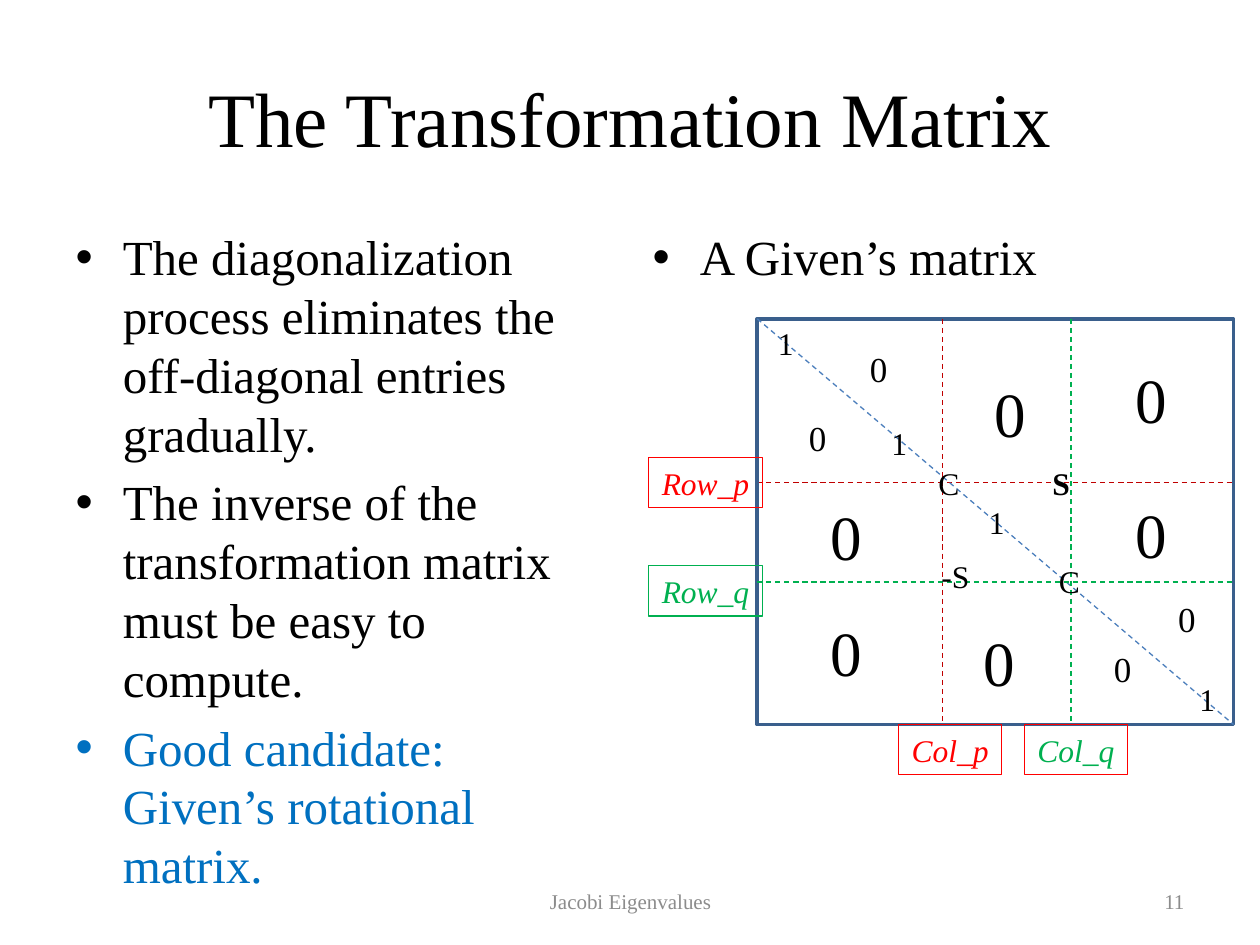
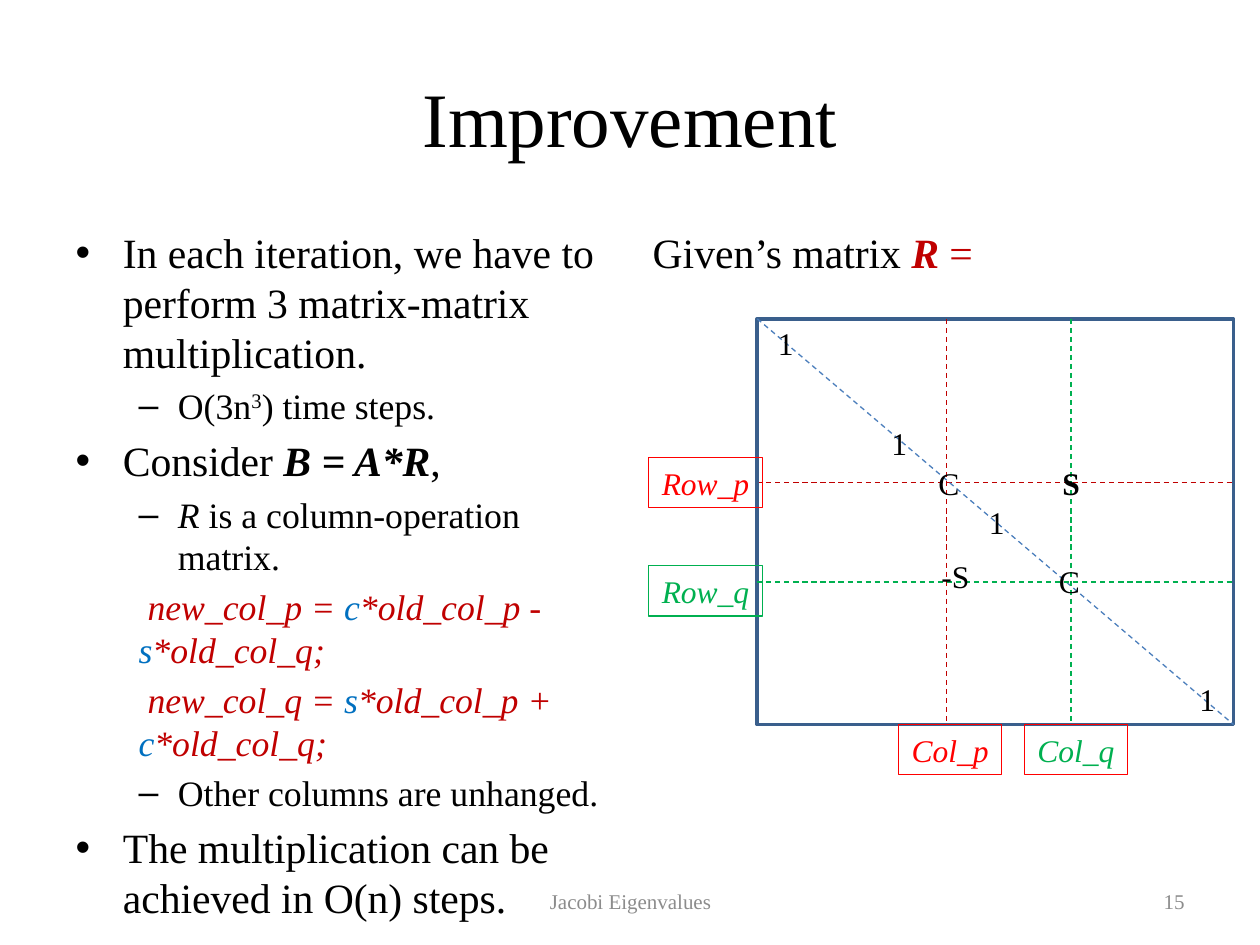
from lxml.etree import SubElement
from pptx import Presentation
from pptx.dml.color import RGBColor
from pptx.enum.dml import MSO_LINE
from pptx.enum.shapes import MSO_CONNECTOR, MSO_SHAPE
from pptx.enum.text import MSO_ANCHOR, MSO_AUTO_SIZE, PP_ALIGN
from pptx.oxml.ns import qn
from pptx.util import Inches, Pt

W, H = 10, 7.5
FACE = "Times New Roman"
HUES = {"ink": "000000", "blue": "0070C0", "deep": "C00000", "red": "FF0000",
        "green": "00B050", "frame": "3A5F8C", "diag": "4B7EBC", "gray": "8C8C8C"}

TITLE = (0.05 * W, 0.04 * H, 0.9 * W, 1.25)
LEFT = (0.05 * W, 1.75, 4.42, 0.66 * H)
WIDE = (0.05 * W, 1.75, 4.59, 0.66 * H)
RIGHT = (5.08, 1.75, 4.42, 0.66 * H)
MATRIX = (6.01, 2.53, 3.78, 3.22)
FOOT = (3.42, 6.95, 3.17, 0.4)
PAGE = (7.17, 6.95, 2.33, 0.4)

# Matrix entries: text, size, then centre in percent of the matrix box
ROTATION = [("1", 18, 6, 5.9), ("1", 18, 29.8, 30.7), ("1", 18, 50.3, 50),
            ("1", 18, 94.5, 93.8), ("C", 18, 39.9, 40.4), ("C", 18, 65.2, 64.6),
            ("-S", 18, 41.6, 63.4)]
ZEROS = [("0", 36, x, y) for x, y in
         [(82.7, 52.8), (18.6, 53.4), (82.7, 19.7), (18.6, 82), (53.2, 23.1), (50.9, 84.4)]]
ZEROS += [("0", 20, x, y) for x, y in
          [(25.5, 12.2), (90.2, 73.9), (76.7, 86.3), (12.7, 29.3)]]


def hue(name):
    return RGBColor.from_string(HUES[name])


def inches(box):
    return [Inches(v) for v in box]


def dress(font, size, color="ink", bold=None, italic=None):
    font.name, font.size, font.bold, font.italic = FACE, Pt(size), bold, italic
    font.color.rgb = hue(color)


def label(shapes, box, text, size, color="ink", align=PP_ALIGN.CENTER,
          bold=None, italic=None, edge=None):
    """One line of text, framed when an edge colour is given."""
    if edge:
        shape = shapes.add_shape(MSO_SHAPE.RECTANGLE, *inches(box))
        shape.shadow.inherit = False
        shape.fill.background()
        shape.line.color.rgb, shape.line.width = hue(edge), Pt(0.75)
    else:
        shape = shapes.add_textbox(*inches(box))
    frame = shape.text_frame
    frame.word_wrap, frame.vertical_anchor = False, MSO_ANCHOR.MIDDLE
    para = frame.paragraphs[0]
    para.text, para.alignment = text, align
    dress(para.font, size, color, bold, italic)


def dash(shapes, x1, y1, x2, y2, color):
    line = shapes.add_connector(MSO_CONNECTOR.STRAIGHT, *inches((x1, y1, x2, y2)))
    line.line.color.rgb, line.line.width = hue(color), Pt(0.75)
    line.line.dash_style = MSO_LINE.DASH
    SubElement(line._element.spPr, qn("a:effectLst"))


def matrix(shapes, box, marks, col_p, s_at):
    """Rotation matrix with its p and q lines; col_p and s_at are percents."""
    left, top, wide, high = box

    def at(x, y):
        return left + wide * x / 100, top + high * y / 100

    right, base = at(100, 100)
    dash(shapes, left, at(0, 40.4)[1], right, at(0, 40.4)[1], "deep")
    frame = shapes.add_shape(MSO_SHAPE.RECTANGLE, *inches(box))
    frame.shadow.inherit = False
    frame.fill.background()
    frame.line.color.rgb, frame.line.width = hue("frame"), Pt(2)
    dash(shapes, left, top, right, base, "diag")
    for x, color in (col_p, "deep"), (65.9, "green"):
        dash(shapes, at(x, 0)[0], top, at(x, 0)[0], base, color)
    dash(shapes, left, at(0, 64.9)[1], right, at(0, 64.9)[1], "green")

    for text, size, x, y in marks + [("S", 18, s_at, 40.4)]:
        w, h = 0.2 + len(text) * size / 130, 0.1 + size / 60
        mid, row = at(x, y)
        label(shapes, (mid - w / 2, row - h / 2, w, h), text, size, bold=text == "S")
    for text, y, color in ("Row_p", 40.4, "red"), ("Row_q", 67.1, "green"):
        label(shapes, (left - 0.86, at(0, y)[1] - 0.2, 0.9, 0.4), text, 18, color,
              italic=True, edge=color)
    for text, x, color in ("Col_p", 40.5, "red"), ("Col_q", 66.9, "green"):
        label(shapes, (at(x, 0)[0] - 0.41, base, 0.82, 0.4), text, 18, color,
              italic=True, edge="red")


def place(holder, box):
    holder.left, holder.top, holder.width, holder.height = inches(box)
    holder.text_frame.auto_size = MSO_AUTO_SIZE.NONE
    return holder.text_frame


def fill(holder, box, items):
    """Items are (level, size, margin, runs); a margin removes the bullet."""
    frame = place(holder, box)
    for n, (level, size, margin, runs) in enumerate(items):
        para = frame.add_paragraph() if n else frame.paragraphs[0]
        para.level = level
        dress(para.font, size)
        if margin is not None:
            props = para._p.get_or_add_pPr()
            props.set("marL", str(Inches(margin)))
            props.set("indent", "0")
            props.insert(0, props.makeelement(qn("a:buNone"), {}))
        for text, color, marks in runs:
            run = para.add_run()
            run.text = text
            if color != "ink":
                run.font.color.rgb = hue(color)
            if "b" in marks:
                run.font.bold = True
            if "i" in marks:
                run.font.italic = True
            if "^" in marks:
                run.font._element.set("baseline", "30000")


def plain(text, color="ink", marks=""):
    return [(text, color, marks)]


def page(deck, title, number, box, left, right):
    slide = deck.slides.add_slide(deck.slide_layouts[3])
    head, body, side = slide.placeholders
    frame = place(head, TITLE)
    frame.text, frame.vertical_anchor = title, MSO_ANCHOR.MIDDLE
    dress(frame.paragraphs[0].font, 44)
    fill(body, box, left)
    fill(side, RIGHT, right)
    label(slide.shapes, FOOT, "Jacobi Eigenvalues", 12, "gray")
    label(slide.shapes, PAGE, number, 12, "gray", PP_ALIGN.RIGHT)
    return slide.shapes


def update(name, first, sign, second):
    """Column update formula with its two factors in blue."""
    return plain(" ") + [(f"{name} = ", "deep", "i"), (first, "blue", "i"),
                         (f"*old_col_p {sign} ", "deep", "i"), (second, "blue", "i"),
                         ("*old_col_q;", "deep", "i")]


def transform(deck):
    left = [(0, 28, None, plain(text, color)) for text, color in [
        ("The diagonalization process eliminates the off-diagonal entries gradually.", "ink"),
        ("The inverse of the transformation matrix must be easy to compute.", "ink"),
        ("Good candidate: Given’s rotational matrix.", "blue")]]
    right = [(0, 28, None, plain("A Given’s matrix"))]
    shapes = page(deck, "The Transformation Matrix", "11", LEFT, left, right)
    matrix(shapes, MATRIX, ROTATION + ZEROS, 38.9, 63.8)


def improve(deck):
    big, small = 23.8, 20.4
    left = [
        (0, big, None, plain("In each iteration, we have to perform 3 "
                             "matrix-matrix multiplication.")),
        (1, small, None, plain("O(3n") + plain("3", marks="^") + plain(") time steps.")),
        (0, big, None, plain("Consider ") + plain("B = A*R", marks="bi") + plain(",")),
        (1, small, None, plain("R", marks="i") + plain(" is a column-operation matrix.")),
        (1, small, 0.5, update("new_col_p", "c", "-", "s")),
        (1, small, 0.5, update("new_col_q", "s", "+", "c")),
        (1, small, None, plain("Other columns are unhanged.")),
        (0, big, None, plain("The multiplication can be achieved in O(n) steps."))]
    right = [(0, big, 0, plain("Given’s matrix ") + plain("R", "deep", "bi")
              + plain(" =", "deep"))]
    shapes = page(deck, "Improvement", "15", WIDE, left, right)
    matrix(shapes.add_group_shape().shapes, MATRIX, ROTATION, 39.7, 65.9)


def main():
    deck = Presentation()
    deck.slide_width, deck.slide_height = Inches(W), Inches(H)
    transform(deck)
    improve(deck)
    deck.save("out.pptx")


if __name__ == "__main__":
    main()
